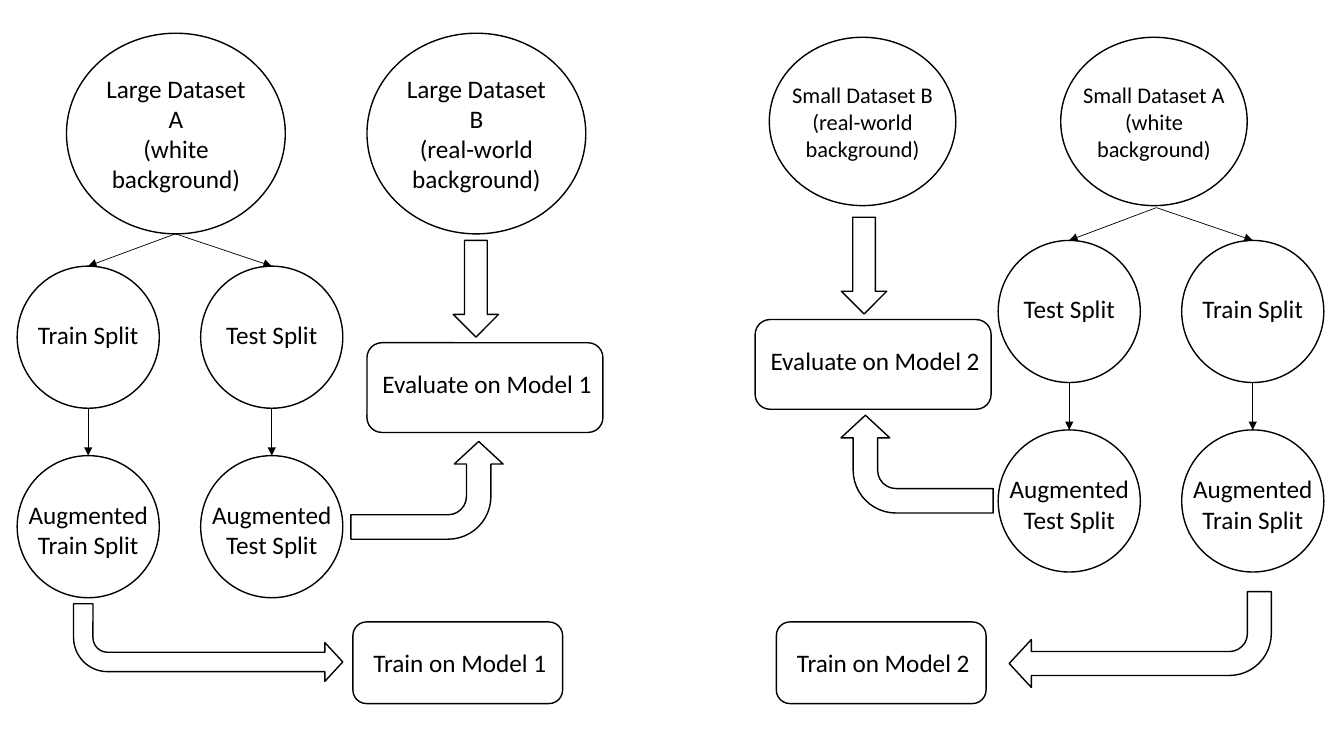
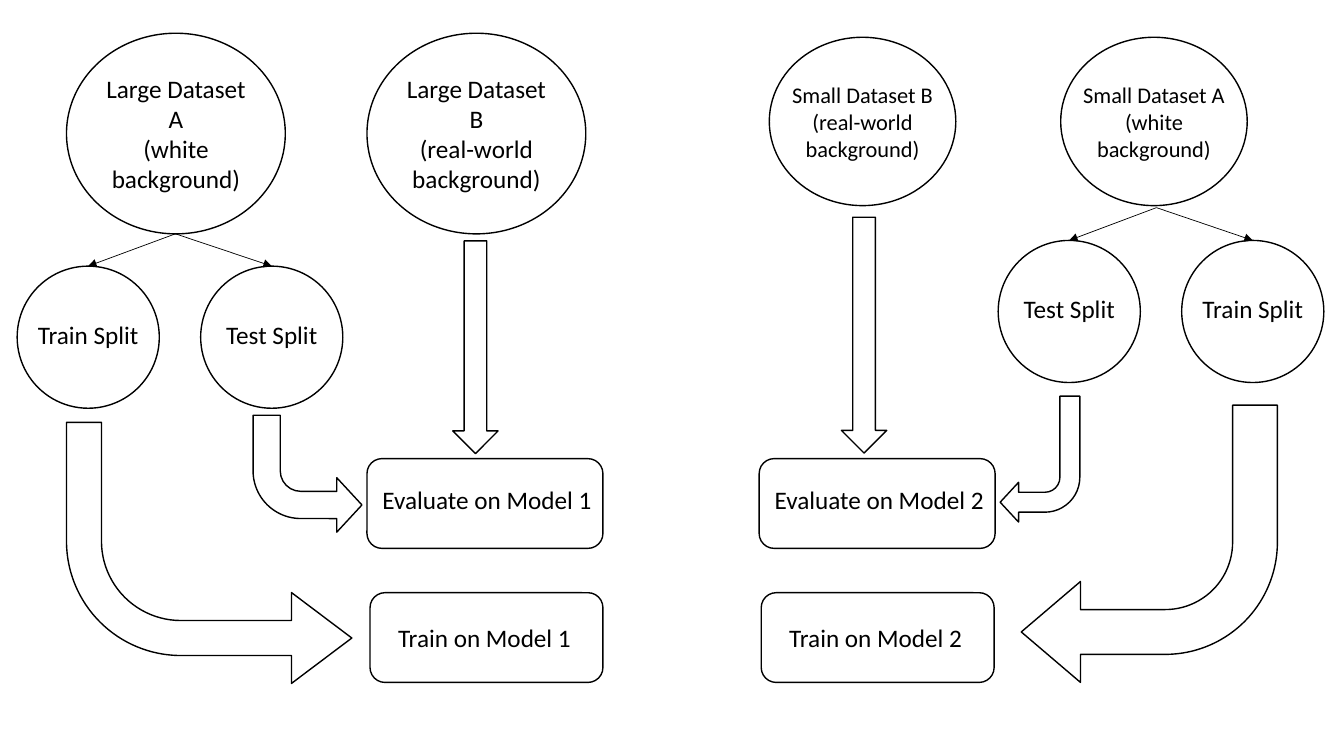
from lxml import etree
from pptx import Presentation
from pptx.dml.color import RGBColor
from pptx.enum.shapes import MSO_CONNECTOR, MSO_SHAPE
from pptx.enum.text import MSO_AUTO_SIZE, PP_ALIGN
from pptx.oxml.ns import qn
from pptx.util import Inches, Pt

OVAL = MSO_SHAPE.OVAL
ROUND = MSO_SHAPE.ROUNDED_RECTANGLE
BENT = MSO_SHAPE.BENT_ARROW
BLOCK = MSO_SHAPE.RIGHT_ARROW
LINE = MSO_CONNECTOR.STRAIGHT
GROW = MSO_AUTO_SIZE.SHAPE_TO_FIT_TEXT
MID = PP_ALIGN.CENTER

COLORS = {"ink": "000000"}
FONT = "Calibri"
DISC = 1.41    # diameter of a split circle
PITCH = 1.82   # from one split circle to the next
DROP = 1.88    # from a split to its augmented split
WIDE = 1.61    # width of a circle's label

# Per side: left and top of the first split, their order, start of the fork
SIDES = [
    (0.17, 2.64, ("Train Split", "Test Split"), (1.74, 2.32)),
    (9.9, 2.385, ("Test Split", "Train Split"), (11.47, 2.06)),
]
# Box of the circle, name, background, text size, rows after wrapping
SETS = [
    ((0.66, 0.33, 2.17, 1.99), "Large Dataset A", "white", 18, 4),
    ((3.64, 0.33, 2.17, 1.99), "Large Dataset B", "real-world", 18, 4),
    ((7.63, 0.37, 1.85, 1.67), "Small Dataset B", "real-world", 16, 3),
    ((10.52, 0.37, 1.85, 1.67), "Small Dataset A", "white", 16, 3),
]


def color(name):
    """Look up a named colour."""
    return RGBColor.from_string(COLORS[name])


def shape(slide, kind, box, turn=0, flip="", adj=()):
    """Draw an outlined shape, turned by degrees and flipped along h or v."""
    item = slide.shapes.add_shape(kind, *map(Inches, box))
    item.shadow.inherit = False
    item.fill.background()
    item.line.color.rgb = color("ink")
    item.line.width = Pt(1)
    item.rotation = turn
    for i, value in enumerate(adj):
        item.adjustments[i] = value
    frame = item._element.spPr.get_or_add_xfrm()
    for axis in flip:
        frame.set("flip" + axis.upper(), "1")


def text(slide, box, lines, size=18, rows=None, wide=WIDE, dx=0, dy=0):
    """Centre lines of text on a box, shifted by dx and dy."""
    left, top, width, height = box
    tall = 0.1 + (rows or len(lines)) * size * 1.2 / 72
    spot = (left + (width - wide) / 2 + dx,
            top + (height - tall) / 2 + dy, wide, tall)
    frame = slide.shapes.add_textbox(*map(Inches, spot)).text_frame
    frame.word_wrap = True
    frame.auto_size = GROW
    for i, line in enumerate(lines):
        para = frame.add_paragraph() if i else frame.paragraphs[0]
        para.alignment = MID
        run = para.add_run()
        run.text = line
        run.font.size = Pt(size)
        run.font.name = FONT
        run.font.color.rgb = color("ink")


def arrow(slide, start, end):
    """Draw a thin line with an arrowhead at its end."""
    item = slide.shapes.add_connector(LINE, *map(Inches, (*start, *end)))
    item.line.color.rgb = color("ink")
    item.line.width = Pt(0.5)
    head = etree.SubElement(item.line._get_or_add_ln(), qn("a:tailEnd"))
    head.set("type", "triangle")
    etree.SubElement(item._element.spPr, qn("a:effectLst"))


def bend(slide, box, turn=0, flip="v", thick=0.25, head=0.25):
    """Draw a bent block arrow."""
    shape(slide, BENT, box, turn, flip, (thick, head, 0.231, 0.438))


def step(slide, box, label, dx=0.02, dy=0.0):
    """Draw a rounded box with a one-line label."""
    shape(slide, ROUND, box)
    text(slide, box, [label], wide=box[2], dx=dx, dy=dy)


def disc(slide, left, top, lines, dy):
    """Draw a split circle with its label."""
    box = (left, top, DISC, DISC)
    shape(slide, OVAL, box)
    text(slide, box, lines, dy=dy)


def base(deck):
    """Add a slide with the datasets and their splits."""
    slide = deck.slides.add_slide(deck.slide_layouts[6])
    for box, name, ground, size, rows in SETS:
        shape(slide, OVAL, box)
        text(slide, box, [name, f"({ground} background)"],
             size=size, rows=rows)
    for left, top, names, fork in SIDES:
        for i, name in enumerate(names):
            x = left + i * PITCH
            disc(slide, x, top, [name], -0.025)
            arrow(slide, fork, (x + DISC / 2, top))
    return slide


def extra(slide):
    """Add the augmented splits below the splits."""
    for left, top, names, _ in SIDES:
        for i, name in enumerate(names):
            x = left + i * PITCH
            mid = x + DISC / 2
            disc(slide, x, top + DROP, ["Augmented", name], 0.03)
            arrow(slide, (mid, top + DISC), (mid, top + DROP))


def augment(deck):
    """Build the flow with augmented splits."""
    slide = base(deck)
    extra(slide)
    steps = [(1, 3.5, 3.64, 3.4), (2, 7.7, 7.49, 3.17)]
    for num, train, test, top in steps:
        step(slide, (train, 6.17, 2.08, 0.81), f"Train on Model {num}")
        step(slide, (test, top, 2.34, 0.89), f"Evaluate on Model {num}",
             dy=-0.035)
    for left, top in [(4.24, 2.64), (8.09, 2.41)]:
        shape(slide, BLOCK, (left, top, 0.96, 0.45), turn=90)
    bend(slide, (0.73, 5.99, 2.67, 0.77))
    bend(slide, (10.01, 5.87, 2.6, 0.95), flip="hv")
    bend(slide, (3.75, 4.11, 0.97, 1.51), turn=270)
    bend(slide, (8.61, 3.85, 0.97, 1.51), turn=90, flip="hv")


def plain(deck):
    """Build the flow without augmented splits."""
    slide = base(deck)
    for num, train, test in [(1, 3.67, 3.64), (2, 7.55, 7.53)]:
        step(slide, (train, 5.88, 2.31, 0.89), f"Train on Model {num}",
             dx=-0.02)
        step(slide, (test, 4.55, 2.34, 0.89), f"Evaluate on Model {num}",
             dy=-0.035)
    for box in [(3.66, 3.22, 2.11, 0.45), (7.4, 3.1, 2.34, 0.45)]:
        shape(slide, BLOCK, box, turn=90)
    bend(slide, (0.66, 4.19, 2.83, 2.59), thick=0.134, head=0.174)
    bend(slide, (10.13, 4.02, 2.54, 2.75), flip="hv",
         thick=0.175, head=0.197)
    bend(slide, (2.51, 4.12, 1.08, 1.16))
    bend(slide, (9.92, 3.93, 0.79, 1.25), flip="hv")


def main():
    """Build and save the deck."""
    deck = Presentation()
    deck.slide_width = Inches(13.33)
    deck.slide_height = Inches(7.5)
    augment(deck)
    plain(deck)
    deck.save("out.pptx")


main()
